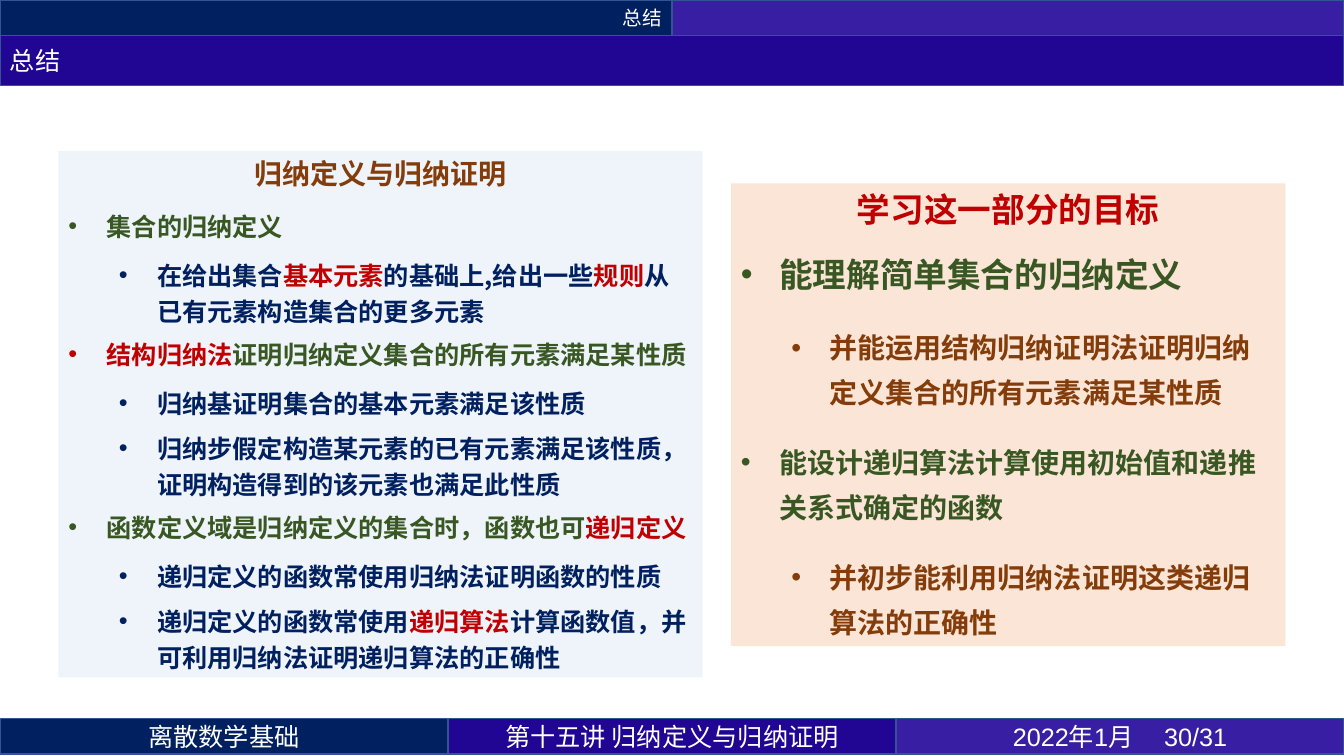
"""Build the summary slide on inductive definitions and proofs."""
from lxml import etree
from pptx import Presentation, util as u
from pptx.dml.color import RGBColor
from pptx.enum import shapes, text
from pptx.oxml.ns import qn

WIDE, HIGH = 13.33, 7.5
NAVY, DEEP, PLUM, EDGE = "002060", "210694", "371EA2", "325491"
RED, GREEN, BROWN, WHITE = "C00000", "385723", "843C0B", "FFFFFF"
SANS, ARIAL = "Noto Sans CJK SC", "Arial"
LEFT, MID, RIGHT = text.PP_ALIGN.LEFT, text.PP_ALIGN.CENTER, text.PP_ALIGN.RIGHT
ROW = 0.35
FOOT = 7.13
STEP = 0.38


def box(x, y, w, h, fill, line=None):
    rect = deck_page.shapes.add_shape(
        shapes.MSO_SHAPE.RECTANGLE, *(u.Inches(n) for n in (x, y, w, h)))
    rect.shadow.inherit = False
    rect.fill.solid()
    rect.fill.fore_color.rgb = RGBColor.from_string(fill)
    if line:
        rect.line.color.rgb = RGBColor.from_string(line)
        rect.line.width = u.Pt(1)
    else:
        rect.line.fill.background()
    return rect


def write(para, words, size, face, hue, bold=False):
    run = para.add_run()
    run.text = words
    font = run.font
    font.size, font.name, font.bold = u.Pt(size), face, bold
    font.color.rgb = RGBColor.from_string(hue)
    etree.SubElement(font._element, qn("a:ea"), typeface=SANS)


deck = Presentation()
deck.slide_width, deck.slide_height = u.Inches(WIDE), u.Inches(HIGH)
deck_page = deck.slides.add_slide(deck.slide_layouts[6])

half, third = WIDE / 2, WIDE / 3
bars = [
    (0, 0, half, ROW, NAVY, RIGHT, "总结", 14, SANS),
    (half, 0, half, ROW, PLUM, LEFT, "", 14, SANS),
    (0, FOOT, third, ROW, NAVY, MID, "离散数学基础", 18, SANS),
    (third, FOOT, third, ROW, DEEP, MID, "第十五讲 归纳定义与归纳证明", 18, SANS),
    (2 * third, FOOT, third, ROW, PLUM, MID, "2022年1月 \t30/31", 18, ARIAL),
    (0, ROW, WIDE, 0.5, DEEP, LEFT, "总结", 18, SANS),
]
for x, y, w, h, fill, align, words, size, face in bars:
    frame = box(x, y, w, h, fill, EDGE).text_frame
    frame.vertical_anchor = text.MSO_ANCHOR.MIDDLE
    para = frame.paragraphs[0]
    para.alignment = align
    if words:
        write(para, words, size, face, WHITE)

# Each item: level, size, line pitch, space before, space after, runs
ideas = [
    (0, [("集合的归纳定义", GREEN)]),
    (1, [("在给出集合", NAVY), ("基本元素", RED), ("的基础上,给出一些", NAVY),
         ("规则", RED), ("从已有元素构造集合的更多元素", NAVY)]),
    (0, [("结构归纳法", RED), ("证明归纳定义集合的所有元素满足某性质", GREEN)]),
    (1, [("归纳基证明集合的基本元素满足该性质", NAVY)]),
    (1, [("归纳步假定构造某元素的已有元素满足该性质，证明构造得到的该元素也满足此性质", NAVY)]),
    (0, [("函数定义域是归纳定义的集合时，函数也可", GREEN), ("递归定义", RED)]),
    (1, [("递归定义的函数常使用归纳法证明函数的性质", NAVY)]),
    (1, [("递归定义的函数常使用", NAVY), ("递归算法", RED),
         ("计算函数值，并可利用归纳法证明递归算法的正确性", NAVY)]),
]
style = [(18, None, 9, 3), (18, 26, 6, 0)]
notes = [(level, *style[level], runs) for level, runs in ideas]
goals = [
    (0, 24, None, 12, 6, [("能理解简单集合的归纳定义", GREEN)]),
    (1, 20, 32, 12, 6, [("并能运用结构归纳证明法证明归纳定义集合的所有元素满足某性质", BROWN)]),
    (0, 20, 32, 12, 6, [("能设计递归算法计算使用初始值和递推关系式确定的函数", GREEN)]),
    (1, 20, 32, 12, 6, [("并初步能利用归纳法证明这类递归算法的正确性", BROWN)]),
]
panels = [
    (0.58, 1.5, 6.39, 5.22, "DEEBF7", 50, "归纳定义与归纳证明", 20, BROWN, notes),
    (7.25, 1.82, 5.5, 4.59, "FBE5D6", 100, "学习这一部分的目标", 24, RED, goals),
]
for x, y, w, h, fill, alpha, title, size, hue, items in panels:
    panel = box(x, y, w, h, fill)
    tint = panel._element.spPr.find(qn("a:solidFill"))[0]
    if alpha < 100:
        etree.SubElement(tint, qn("a:alpha"), val=str(alpha * 1000))
    frame = panel.text_frame
    frame.word_wrap = True
    frame.auto_size = text.MSO_AUTO_SIZE.SHAPE_TO_FIT_TEXT
    frame.vertical_anchor = text.MSO_ANCHOR.TOP
    head = frame.paragraphs[0]
    head.alignment = MID
    head.space_before = head.space_after = u.Pt(6)
    write(head, title, size, SANS, hue, True)
    for level, size, pitch, before, after, runs in items:
        para = frame.add_paragraph()
        para.alignment, para.level = LEFT, level
        para.space_before, para.space_after = u.Pt(before), u.Pt(after)
        if pitch:
            para.line_spacing = u.Pt(pitch)
        props = para._p.get_or_add_pPr()
        props.set("marL", str(u.Inches(STEP + level / 2)))
        props.set("indent", str(-u.Inches(STEP)))
        etree.SubElement(props, qn("a:buFont"), typeface=ARIAL)
        etree.SubElement(props, qn("a:buChar"), char="•")
        for words, hue in runs:
            write(para, words, size, ARIAL if hue in (RED, GREEN) else SANS, hue, True)

deck.save("out.pptx")
